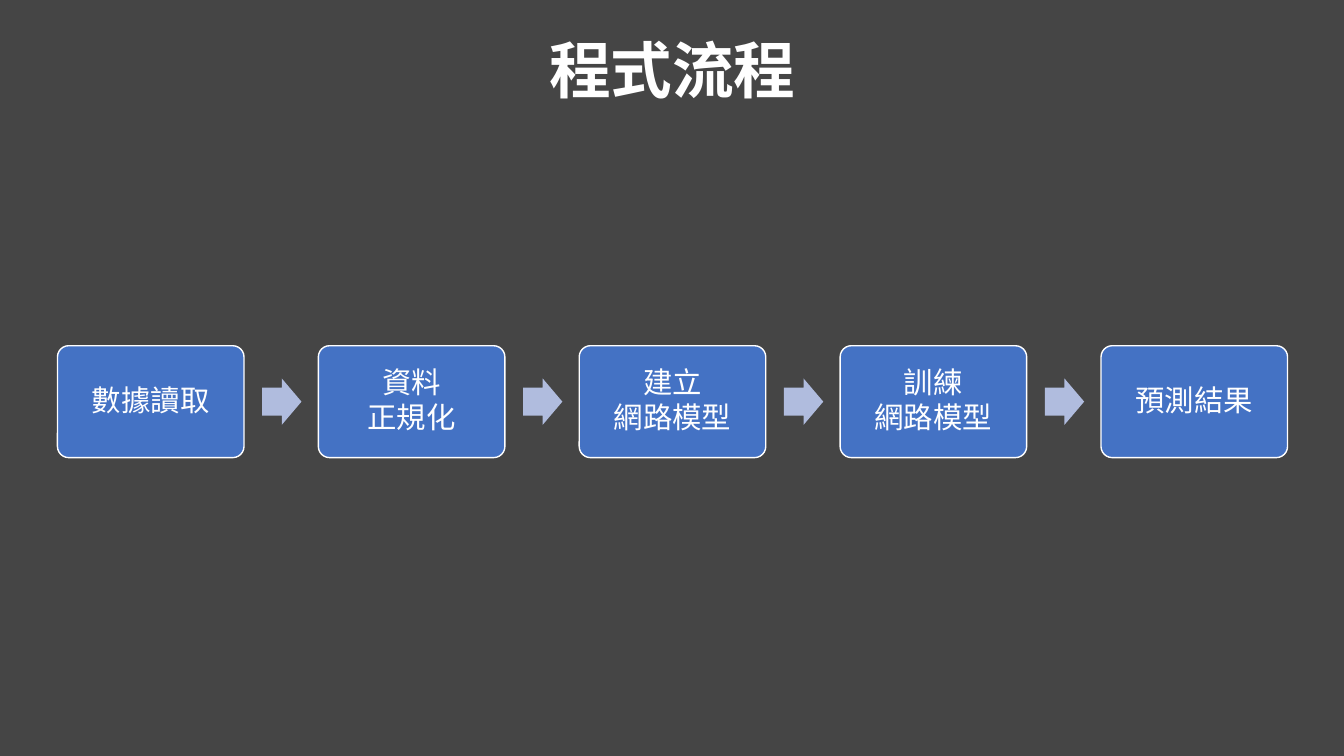
"""Build the program flow slide: five steps joined by block arrows."""
import lxml.etree
import pptx
import pptx.dml.color
import pptx.enum.shapes
import pptx.enum.text
import pptx.oxml.ns
import pptx.util
from dataclasses import dataclass

Inches, Pt = pptx.util.Inches, pptx.util.Pt
RGB = pptx.dml.color.RGBColor.from_string
SHAPE = pptx.enum.shapes.MSO_SHAPE

TITLE = "程式流程"
STEPS = [
    ["數據讀取"],
    ["資料", "正規化"],
    ["建立", "網路模型"],
    ["訓練", "網路模型"],
    ["預測結果"],
]


@dataclass(frozen=True)
class Theme:
    background: str = "454545"
    box: str = "4472C4"
    arrow: str = "B0BCDE"
    text: str = "FFFFFF"
    title_font: str = "Noto Sans CJK SC"
    step_font: str = "Calibri"
    title_size: float = 44
    step_size: float = 21
    step_gap: float = 2.6


THEME = Theme()
SLIDE_W, SLIDE_H = 13.33, 7.5
BOX_W, BOX_H, PITCH = 1.85, 1.11, 2.5875
ARROW_W, ARROW_H, ARROW_GAP = 0.39, 0.46, 0.18
LEFT, MIDDLE = 0.57, 3.985


def write_lines(tf, lines, font, size, bold=False, gap=0):
    tf.word_wrap = True
    tf.vertical_anchor = pptx.enum.text.MSO_ANCHOR.MIDDLE
    for i, line in enumerate(lines):
        p = tf.add_paragraph() if i else tf.paragraphs[0]
        p.text = line
        p.alignment = pptx.enum.text.PP_ALIGN.CENTER
        p.line_spacing = 0.9
        p.space_before, p.space_after = Pt(0), Pt(gap)
        p.font.name, p.font.size, p.font.bold = font, Pt(size), bold
        p.font.color.rgb = RGB(THEME.text)
        props = p._p.pPr.find(pptx.oxml.ns.qn("a:defRPr"))
        lxml.etree.SubElement(props, pptx.oxml.ns.qn("a:ea"), typeface=THEME.title_font)


def add_block(s, kind, x, w, h, color, adjustments):
    sp = s.shapes.add_shape(kind, Inches(x), Inches(MIDDLE - h / 2), Inches(w), Inches(h))
    sp.shadow.inherit = False
    sp.fill.solid()
    sp.fill.fore_color.rgb = RGB(color)
    for i, value in enumerate(adjustments):
        sp.adjustments[i] = value
    return sp


def add_step(s, x, lines):
    sp = add_block(s, SHAPE.ROUNDED_RECTANGLE, x, BOX_W, BOX_H, THEME.box, [0.1])
    sp.line.color.rgb = RGB(THEME.text)
    sp.line.width = Pt(1)
    tf = sp.text_frame
    tf.margin_left = tf.margin_right = tf.margin_top = tf.margin_bottom = Inches(0.09)
    write_lines(tf, lines, THEME.step_font, THEME.step_size, gap=THEME.step_gap)


def add_arrow(s, x):
    sp = add_block(s, SHAPE.RIGHT_ARROW, x, ARROW_W, ARROW_H, THEME.arrow, [0.6, 0.5])
    sp.line.fill.background()


def main():
    prs = pptx.Presentation()
    prs.slide_width, prs.slide_height = Inches(SLIDE_W), Inches(SLIDE_H)
    s = prs.slides.add_slide(prs.slide_layouts[5])
    s.background.fill.solid()
    s.background.fill.fore_color.rgb = RGB(THEME.background)

    title = s.shapes.title
    title.left, title.top = Inches(0.92), Inches(0)
    title.width, title.height = Inches(11.5), Inches(1.45)
    write_lines(title.text_frame, [TITLE], THEME.title_font, THEME.title_size, bold=True)

    for i, lines in enumerate(STEPS):
        x = LEFT + i * PITCH
        add_step(s, x, lines)
        if i < len(STEPS) - 1:
            add_arrow(s, x + BOX_W + ARROW_GAP)
    prs.save("out.pptx")


if __name__ == "__main__":
    main()
